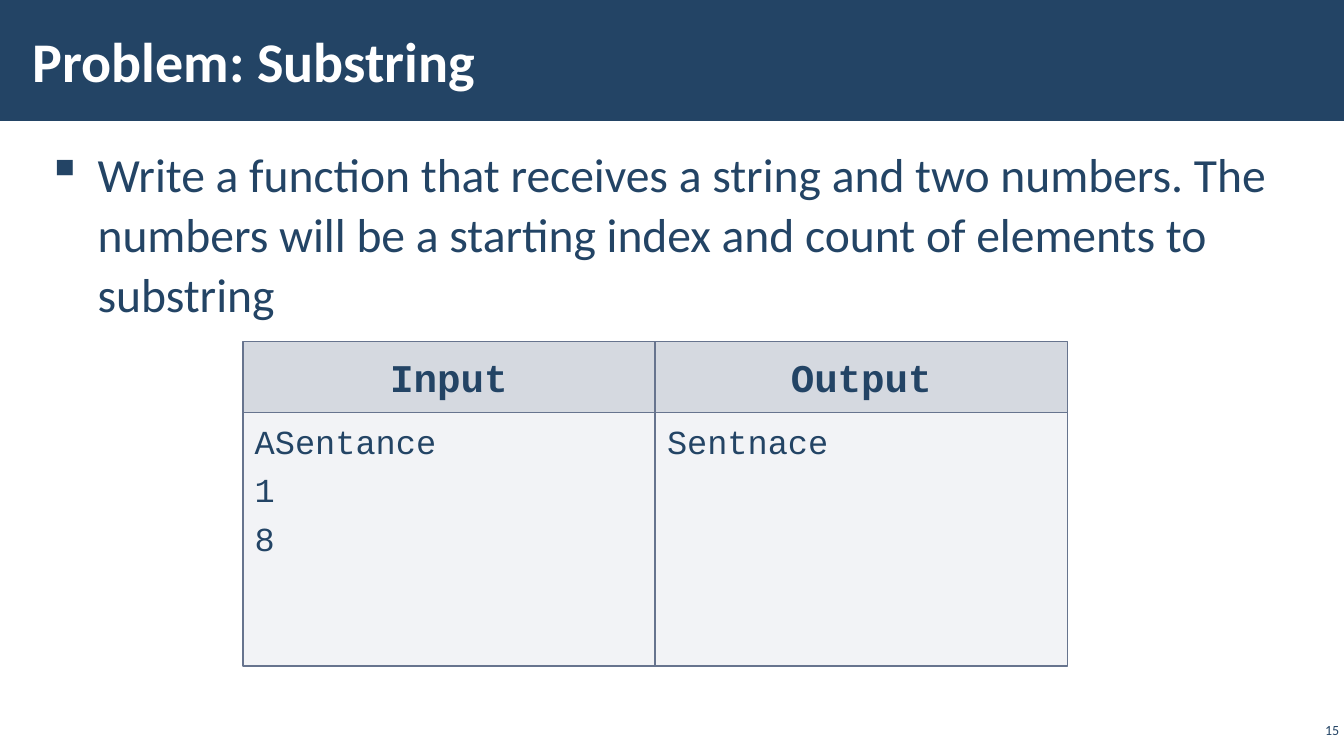
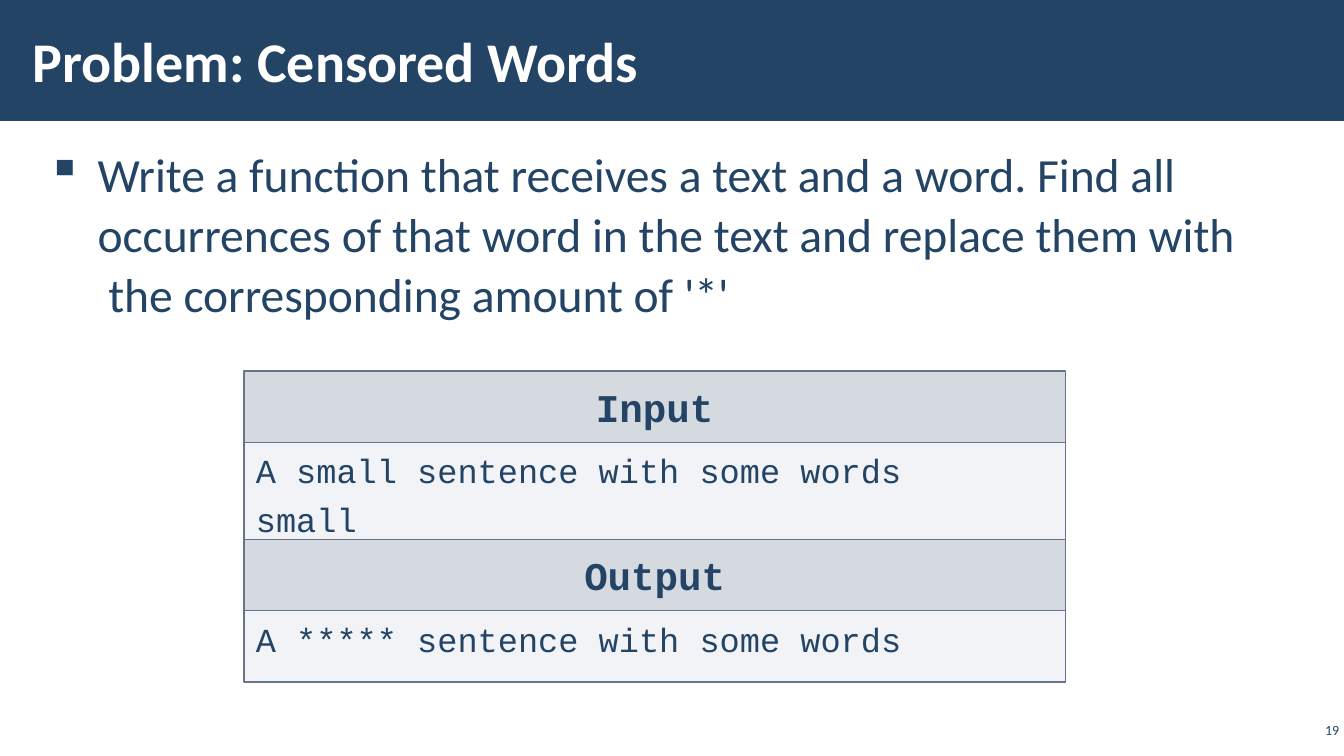
import pptx
import pptx.util
import pptx.dml.color
import pptx.enum.shapes
import pptx.enum.text
import pptx.oxml.ns
import lxml.etree

Cm = pptx.util.Cm
Pt = pptx.util.Pt
ALIGN = pptx.enum.text.PP_ALIGN
ANCHOR = pptx.enum.text.MSO_ANCHOR
NAVY = pptx.dml.color.RGBColor(0x23, 0x44, 0x65)
WHITE = pptx.dml.color.RGBColor(0xFF, 0xFF, 0xFF)
PANEL = pptx.dml.color.RGBColor(0xAD, 0xB4, 0xC3)
BORDER = pptx.dml.color.RGBColor(0x67, 0x74, 0x8E)

SLIDE_WIDTH, SLIDE_HEIGHT = 33.87, 19.05
HEADING_HEIGHT = 1.8

FORMATS = {
    "title": {
        "font": {"name": "Calibri", "size": Pt(40), "bold": True},
        "color": WHITE, "insets": (0.3, 0.1), "anchor": ANCHOR.MIDDLE,
        "paragraph": {"alignment": ALIGN.LEFT},
    },
    "task": {
        "font": {"name": "Calibri", "size": Pt(34)},
        "color": NAVY, "insets": (0.3, 0.1), "anchor": ANCHOR.TOP,
        "paragraph": {"alignment": ALIGN.LEFT, "line_spacing": 1.05,
                      "space_before": Pt(6), "space_after": Pt(6)},
    },
    "number": {
        "font": {"name": "Calibri", "size": Pt(10)},
        "color": NAVY, "insets": (0.1, 0.1), "anchor": ANCHOR.MIDDLE,
        "paragraph": {"alignment": ALIGN.RIGHT},
    },
    "heading": {
        "font": {"name": "Courier New", "size": Pt(28), "bold": True},
        "color": NAVY, "insets": (0.3, 0.3), "anchor": ANCHOR.TOP,
        "paragraph": {"alignment": ALIGN.CENTER},
    },
    "sample": {
        "font": {"name": "Courier New", "size": Pt(24)},
        "color": NAVY, "insets": (0.3, 0.2), "anchor": ANCHOR.TOP,
        "paragraph": {"alignment": ALIGN.LEFT, "space_before": Pt(6)},
    },
}


def set_all(target, values):
    for name, value in values.items():
        setattr(target, name, value)


class Deck:
    def __init__(self):
        self.presentation = pptx.Presentation()
        set_all(self.presentation, {"slide_width": Cm(SLIDE_WIDTH),
                                    "slide_height": Cm(SLIDE_HEIGHT)})
        self.slide = None

    def fill_text(self, shape, paragraphs, role):
        style = FORMATS[role]
        side, edge = (Cm(inset) for inset in style["insets"])
        frame = shape.text_frame
        set_all(frame, {"word_wrap": True, "vertical_anchor": style["anchor"],
                        "margin_left": side, "margin_right": side,
                        "margin_top": edge, "margin_bottom": edge})
        for index, text in enumerate(paragraphs):
            paragraph = frame.add_paragraph() if index else frame.paragraphs[0]
            paragraph.text = text
            set_all(paragraph, style["paragraph"])
            for run in paragraph.runs:
                set_all(run.font, style["font"])
                run.font.color.rgb = style["color"]
        return frame

    def text(self, box, text, role):
        textbox = self.slide.shapes.add_textbox(*map(Cm, box))
        return self.fill_text(textbox, [text], role)

    def rectangle(self, box, color, opacity=100, border=None):
        shape = self.slide.shapes.add_shape(
            pptx.enum.shapes.MSO_SHAPE.RECTANGLE, *map(Cm, box))
        shape.shadow.inherit = False
        shape.fill.solid()
        shape.fill.fore_color.rgb = color
        if opacity < 100:
            tint = shape.element.spPr.find(".//" + pptx.oxml.ns.qn("a:srgbClr"))
            lxml.etree.SubElement(tint, pptx.oxml.ns.qn("a:alpha"),
                                  val=str(opacity * 1000))
        if border is None:
            shape.line.fill.background()
        else:
            shape.line.color.rgb = border
            shape.line.width = Pt(1)
        return shape

    def bullet(self, paragraph):
        properties = paragraph._p.get_or_add_pPr()
        properties.set("marL", str(Cm(1.27)))
        properties.set("indent", str(Cm(-1.27)))
        lxml.etree.SubElement(properties, pptx.oxml.ns.qn("a:buChar"), char="▪")

    def problem(self, title, task, number):
        layout = self.presentation.slide_layouts[6]
        self.slide = self.presentation.slides.add_slide(layout)
        self.rectangle((0, 0, SLIDE_WIDTH, 3.05), NAVY)
        task_frame = self.text((0.89, 3.48, 31.78, 5.13), task, "task")
        self.bullet(task_frame.paragraphs[0])
        self.text((0.53, 0.28, 26.39, 2.46), f"Problem: {title}", "title")
        self.text((32.66, 18.11, 1.19, 0.56), str(number), "number")

    def example(self, left, top, width, sample_height, heading, lines):
        sample = self.rectangle((left, top + HEADING_HEIGHT, width, sample_height),
                                PANEL, 15, BORDER)
        self.fill_text(sample, lines, "sample")
        header = self.rectangle((left, top, width, HEADING_HEIGHT),
                                PANEL, 50, BORDER)
        self.fill_text(header, [heading], "heading")


def main():
    deck = Deck()

    deck.problem("Substring",
                 "Write a function that receives a string and two numbers. "
                 "The numbers will be a starting index and count of elements "
                 "to substring", 15)
    column_width = 10.39
    columns = (("Input", ["ASentance", "1", "8"]), ("Output", ["Sentnace"]))
    for column, (heading, lines) in enumerate(columns):
        deck.example(6.12 + column * column_width, 8.6, column_width, 6.38,
                     heading, lines)

    deck.problem("Censored Words",
                 "Write a function that receives a text and a word. Find all\n"
                 "occurrences of that word in the text and replace them with\n"
                 " the corresponding amount of '*'", 19)
    top = 9.35
    rows = (("Input", 2.44, ["A small sentence with some words", "small"]),
            ("Output", 1.8, ["A ***** sentence with some words"]))
    for heading, sample_height, lines in rows:
        deck.example(6.15, top, 20.7, sample_height, heading, lines)
        top += HEADING_HEIGHT + sample_height

    deck.presentation.save("out.pptx")


if __name__ == "__main__":
    main()
